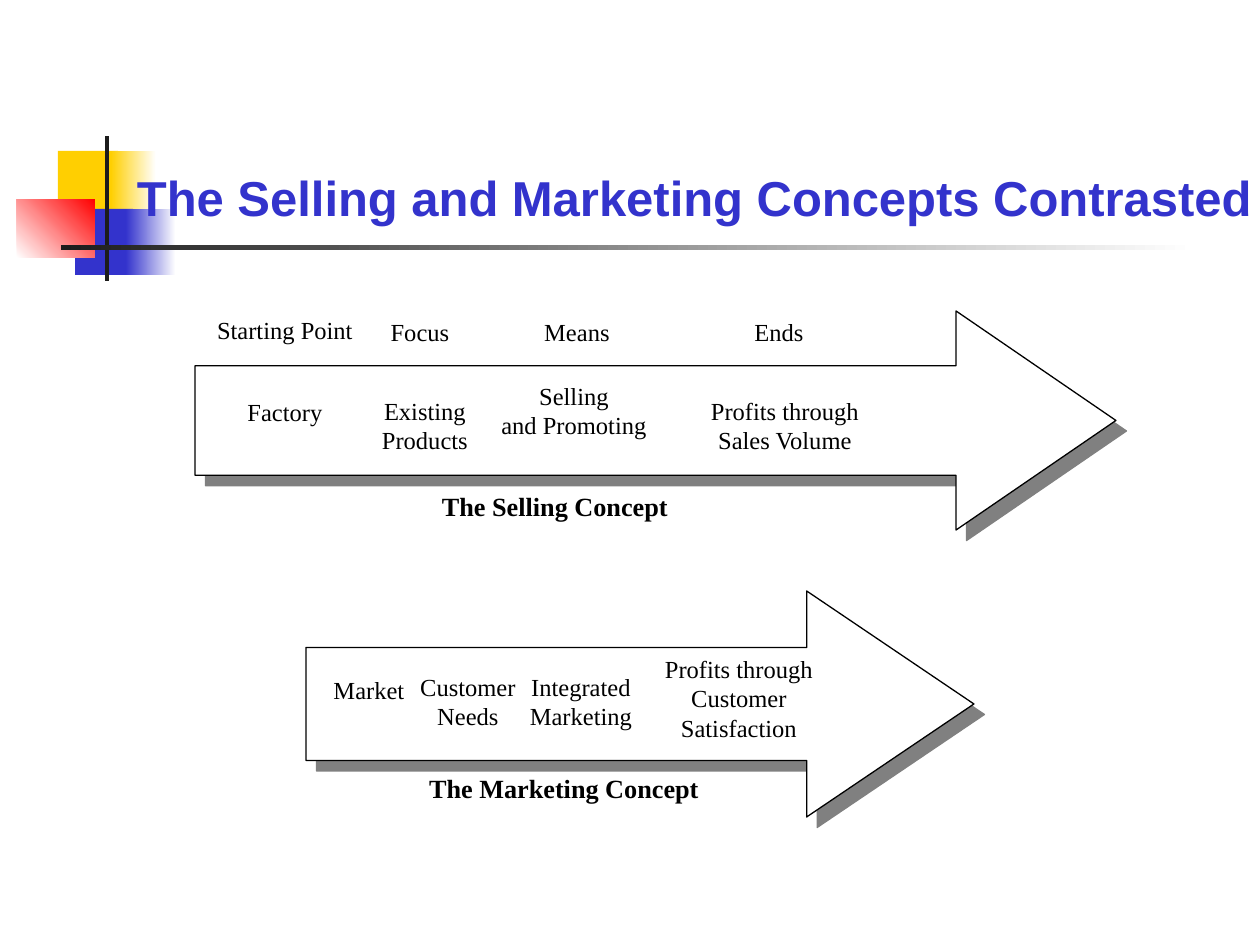
import pptx
import pptx.dml.color
import pptx.enum.shapes
import pptx.enum.text
import pptx.oxml
import pptx.oxml.ns
import pptx.util

PX = 914400 // 126
COLORS = {"yellow": "FFCF01", "blue": "3333CC", "red": "FF0000", "white": "FFFFFF",
          "dark": "1C1C1C", "black": "000000", "shadow": "808080"}
ALIGN = pptx.enum.text.PP_ALIGN
SHAPE = pptx.enum.shapes.MSO_SHAPE

TITLE = {"name": "Arial", "size": pptx.util.Pt(28), "bold": True}
LABEL = {"name": "Times New Roman", "size": pptx.util.Pt(14), "bold": False}
CAPTION = {"name": "Times New Roman", "size": pptx.util.Pt(15), "bold": True}

# Each label: text, then its centre measured from the arrow's top left corner
SELLING = [
    ("Starting Point", 90, 19), ("Focus", 225, 21), ("Means", 382, 21), ("Ends", 584, 21),
    ("Factory", 90, 101), ("Existing Products", 230, 114),
    ("Selling\nand Promoting", 379, 99), ("Profits through Sales Volume", 590, 114),
]
MARKETING = [
    ("Market", 63, 99), ("Customer Needs", 162, 110), ("Integrated Marketing", 275, 110),
    ("Profits through Customer Satisfaction", 433, 107),
]


def rgb(color):
    return pptx.dml.color.RGBColor.from_string(COLORS[color])


def emu(*lengths):
    return [length * PX for length in lengths]


def add_text(shapes, box, text, font, color="black", align=ALIGN.CENTER):
    frame = shapes.add_textbox(*emu(*box)).text_frame
    settings = {"word_wrap": True, "vertical_anchor": pptx.enum.text.MSO_ANCHOR.MIDDLE,
                "margin_left": 0, "margin_right": 0, "margin_top": 0, "margin_bottom": 0}
    for key, value in settings.items():
        setattr(frame, key, value)
    frame.text = text
    for para in frame.paragraphs:
        para.alignment = align
        for span in para.runs:
            for key, value in font.items():
                setattr(span.font, key, value)
            span.font.color.rgb = rgb(color)


def add_block(page, box, colors, angle=0):
    """Borderless rectangle in one colour or fading between two."""
    block = page.shapes.add_shape(SHAPE.RECTANGLE, *emu(*box))
    block.shadow.inherit = False
    block.line.fill.background()
    if len(colors) == 1:
        block.fill.solid()
        block.fill.fore_color.rgb = rgb(colors[0])
        return
    block.fill.gradient()
    block.fill.gradient_angle = angle
    for stop, color, position in zip(block.fill.gradient_stops, colors, (0, 1)):
        stop.color.rgb = rgb(color)
        stop.position = position


def add_heading(page, left, top):
    # Coloured squares and crossing bars
    blocks = [
        ((41, 15, 60, 66), ["yellow"], 0),
        ((94, 15, 45, 66), ["yellow", "white"], 0),
        ((58, 73, 58, 66), ["blue"], 0),
        ((109, 73, 50, 66), ["blue", "white"], 0),
        ((0, 63, 78, 59), ["white", "red"], 45),
        ((88, 0, 4, 145), ["dark"], 0),
        ((44, 109, 1134, 5), ["dark", "white"], 0),
    ]
    for (x, y, width, height), colors, angle in blocks:
        add_block(page, (left + x, top + y, width, height), colors, angle)
    # Title
    add_text(page.shapes, (left + 120, top + 32, 1150, 58),
             "The Selling and Marketing Concepts Contrasted", TITLE, "blue", ALIGN.LEFT)


def add_concept(page, box, head, labels, caption):
    """Shadowed arrow with its labels and a caption below the shaft."""
    left, top, width, height = box
    group = page.shapes.add_group_shape()

    # Arrow
    arrow = group.shapes.add_shape(SHAPE.RIGHT_ARROW, *emu(*box))
    arrow.adjustments[0], arrow.adjustments[1] = 0.5, head
    arrow.fill.solid()
    arrow.fill.fore_color.rgb = rgb("white")
    arrow.line.color.rgb = rgb("black")
    arrow.line.width = pptx.util.Pt(0.75)
    arrow.shadow.inherit = False
    effects = arrow.element.spPr.find(pptx.oxml.ns.qn("a:effectLst"))
    effects.append(pptx.oxml.parse_xml(
        f'<a:outerShdw {pptx.oxml.ns.nsdecls("a")} dist="{pptx.util.Pt(8.5)}" dir="2700000" '
        f'algn="ctr" rotWithShape="0"><a:srgbClr val="{COLORS["shadow"]}"/></a:outerShdw>'))

    # Labels and caption, each centred on its point
    parts = [(label, 152, 90, LABEL) for label in labels] + [(caption, 300, 30, CAPTION)]
    for (text, x, y), wide, high, font in parts:
        add_text(group.shapes, (left + x - wide // 2, top + y - high // 2, wide, high), text, font)


def main():
    deck = pptx.Presentation()
    deck.slide_width, deck.slide_height = pptx.util.Inches(10), pptx.util.Inches(7.5)
    page = deck.slides.add_slide(deck.slide_layouts[6])
    add_heading(page, 17, 136)
    add_concept(page, (195, 311, 921, 219), 0.73, SELLING, ("The Selling Concept", 360, 195))
    add_concept(page, (306, 591, 668, 226), 0.74, MARKETING, ("The Marketing Concept", 258, 197))
    deck.save("out.pptx")


if __name__ == "__main__":
    main()
